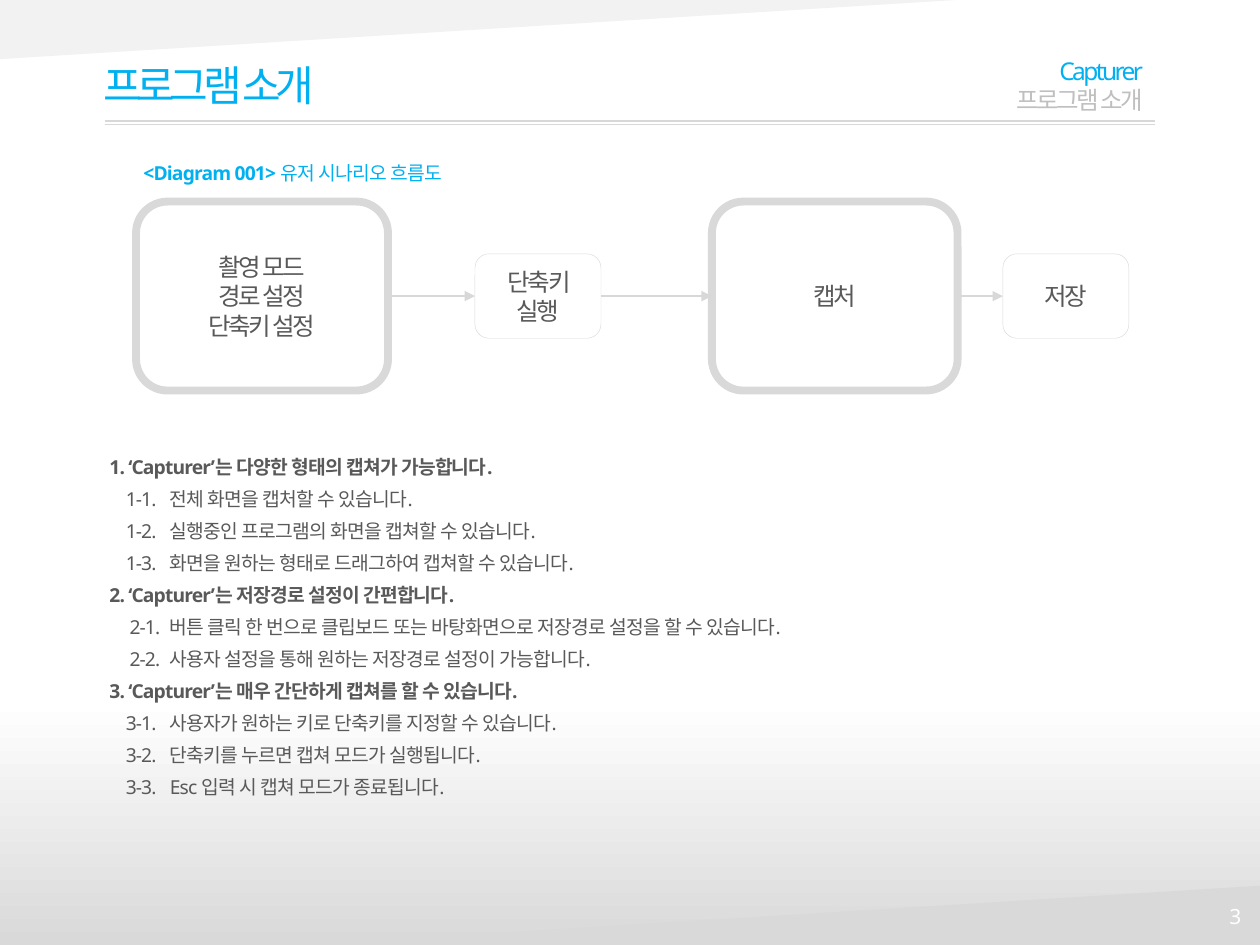
"""Builds the program introduction slide with its user flow diagram."""
from lxml import etree
from pptx import Presentation
from pptx.dml.color import RGBColor
from pptx.enum.shapes import MSO_CONNECTOR, MSO_SHAPE
from pptx.enum.text import MSO_ANCHOR, PP_ALIGN
from pptx.oxml.ns import qn
from pptx.util import Inches, Pt

LEFT, MID, RIGHT = PP_ALIGN.LEFT, PP_ALIGN.CENTER, PP_ALIGN.RIGHT
TOP, CENTER = MSO_ANCHOR.TOP, MSO_ANCHOR.MIDDLE
ROUND, WEDGE = MSO_SHAPE.ROUNDED_RECTANGLE, MSO_SHAPE.RIGHT_TRIANGLE
LINE = MSO_CONNECTOR.STRAIGHT

COLS, ROWS = 10, 7.5
FACE = "Noto Sans"
HEX = {"blue": "00B0F0", "text": "595959", "mute": "BFBFBF", "rule": "D8D8D8",
       "edge": "D9D9D9", "pale": "F2F2F2", "white": "FFFFFF"}

POINTS = [
    ("1. ‘Capturer’는 다양한 형태의 캡쳐가 가능합니다.", 0.13, [
        "전체 화면을 캡처할 수 있습니다.",
        "실행중인 프로그램의 화면을 캡쳐할 수 있습니다.",
        "화면을 원하는 형태로 드래그하여 캡쳐할 수 있습니다."]),
    ("2. ‘Capturer’는 저장경로 설정이 간편합니다.", 0.16, [
        "버튼 클릭 한 번으로 클립보드 또는 바탕화면으로 저장경로 설정을 할 수 있습니다.",
        "사용자 설정을 통해 원하는 저장경로 설정이 가능합니다."]),
    ("3. ‘Capturer’는 매우 간단하게 캡쳐를 할 수 있습니다.", 0.13, [
        "사용자가 원하는 키로 단축키를 지정할 수 있습니다.",
        "단축키를 누르면 캡쳐 모드가 실행됩니다.",
        "Esc 입력 시 캡쳐 모드가 종료됩니다."]),
]
STEPS = [
    (1.08, 2, ["촬영 모드", "경로 설정", "단축키 설정"], True),
    (3.77, 1, ["단축키 실행"], False),
    (5.65, 1.95, ["캡처"], True),
    (7.96, 1, ["저장"], False),
]


def color(name):
    return RGBColor.from_string(HEX[name])


def grid(*cells):
    return [Inches(cell) for cell in cells]


class Deck:
    """Holds the style and the current slide."""

    def __init__(self):
        self.prs = Presentation()
        self.prs.slide_width, self.prs.slide_height = grid(COLS, ROWS)
        self.slide = self.prs.slides.add_slide(self.prs.slide_layouts[6])
        self.shapes = self.slide.shapes

    def back(self, stops):
        fill = self.slide.background.fill
        fill.gradient()
        fill.gradient_angle = 270
        marks = self.slide.element.find(".//" + qn("a:gsLst"))
        for mark in list(marks):
            marks.remove(mark)
        for share, name in stops:
            mark = etree.SubElement(marks, qn("a:gs"), pos=str(share * 1000))
            etree.SubElement(mark, qn("a:srgbClr"), val=HEX[name])

    def shape(self, kind, box, fill, edge=None):
        item = self.shapes.add_shape(kind, *grid(*box))
        item.shadow.inherit = False
        item.fill.solid()
        item.fill.fore_color.rgb = color(fill)
        if edge:
            item.line.color.rgb = color("edge")
            item.line.width = Pt(edge)
        else:
            item.line.fill.background()
        return item

    def wedge(self, box, fill, turn=0):
        item = self.shape(WEDGE, box, fill)
        item.rotation = turn
        item.element.spPr.find(qn("a:xfrm")).set("flipV", "1")

    def line(self, start, end):
        item = self.shapes.add_connector(LINE, *grid(*start, *end))
        item.line.color.rgb = color("rule")
        item.line.width = Pt(0.75)
        etree.SubElement(item.element.spPr, qn("a:effectLst"))
        return item

    def arrow(self, start, end):
        item = self.line((0, 0), (1, 1))
        item.begin_connect(start, 3)
        item.end_connect(end, 1)
        etree.SubElement(item.line._get_or_add_ln(), qn("a:tailEnd"), type="triangle")

    def frame(self, box, anchor=CENTER):
        item = self.shapes.add_textbox(*grid(*box)).text_frame
        item.word_wrap = True
        item.vertical_anchor = anchor
        return item

    def para(self, frame, text, size, tone, space=0, align=LEFT, bold=False, gap=0, hang=None):
        first = not frame.paragraphs[0].runs
        item = frame.paragraphs[0] if first else frame.add_paragraph()
        item.add_run().text = text
        item.alignment = align
        item.line_spacing = Pt(round(size * 1.21, 1))
        if gap and not first:
            item.space_before = Pt(gap)
        props = item._p.get_or_add_pPr()
        if hang:
            props.set("marL", str(Inches(0.48)))
            props.set("indent", str(Inches(hang - 0.48)))
        font = item.font
        font.size, font.bold, font.name = Pt(size), bold, FACE
        font.color.rgb = color(tone)
        style = props.find(qn("a:defRPr"))
        style.set("spc", str(int(space * 100)))
        etree.SubElement(style, qn("a:ea"), typeface=FACE)
        return item

    def step(self, left, width, lines, large):
        tall = 1.5 if large else 0.67
        box = (left, 2.35 - tall / 2, width, tall)
        item = self.shape(ROUND, box, "white", 4.5 if large else 0.25)
        frame = item.text_frame
        frame.word_wrap = True
        frame.vertical_anchor = CENTER
        for text in lines:
            self.para(frame, text, 14, "text", -1.5, MID)
        return item


def main():
    deck = Deck()
    deck.back([(0, "white"), (74, "white"), (100, "edge")])
    deck.wedge((0, 0, 7.6, 0.47), "pale")
    deck.wedge((2.4, 7.03, 7.6, 0.47), "edge", 180)
    deck.para(deck.frame((7.62, 7.07, 2.33, 0.4)), "3", 12, "white", align=RIGHT)

    deck.para(deck.frame((0.72, 0.36, 4.41, 0.63)), "프로그램 소개", 24, "blue", -3)
    for row in (0.96, 0.99):
        deck.line((0.83, row), (9.17, row))
    head = deck.frame((7.2, 0.36, 1.97, 0.63))
    for text, tone in (("Capturer", "blue"), ("프로그램 소개", "mute")):
        deck.para(head, text, 14, tone, -1.5, RIGHT)

    body = deck.frame((0.77, 3.56, 8.46, 3.07), TOP)
    for part, (title, hang, notes) in enumerate(POINTS, 1):
        deck.para(body, title, 11, "text", -0.5, bold=True, gap=5)
        for num, note in enumerate(notes, 1):
            deck.para(body, f"{part}-{num}.\t{note}", 11, "text", -0.5, gap=5, hang=hang)

    steps = [deck.step(*step) for step in STEPS]
    label = deck.para(deck.frame((1.04, 1.23, 6.29, 0.28), TOP),
                      "<Diagram 001> ", 11, "blue", -0.5)
    label.runs[0].font.bold = True
    label.add_run().text = "유저 시나리오 흐름도"
    for start, end in zip(steps, steps[1:]):
        deck.arrow(start, end)
    deck.prs.save("out.pptx")


if __name__ == "__main__":
    main()
